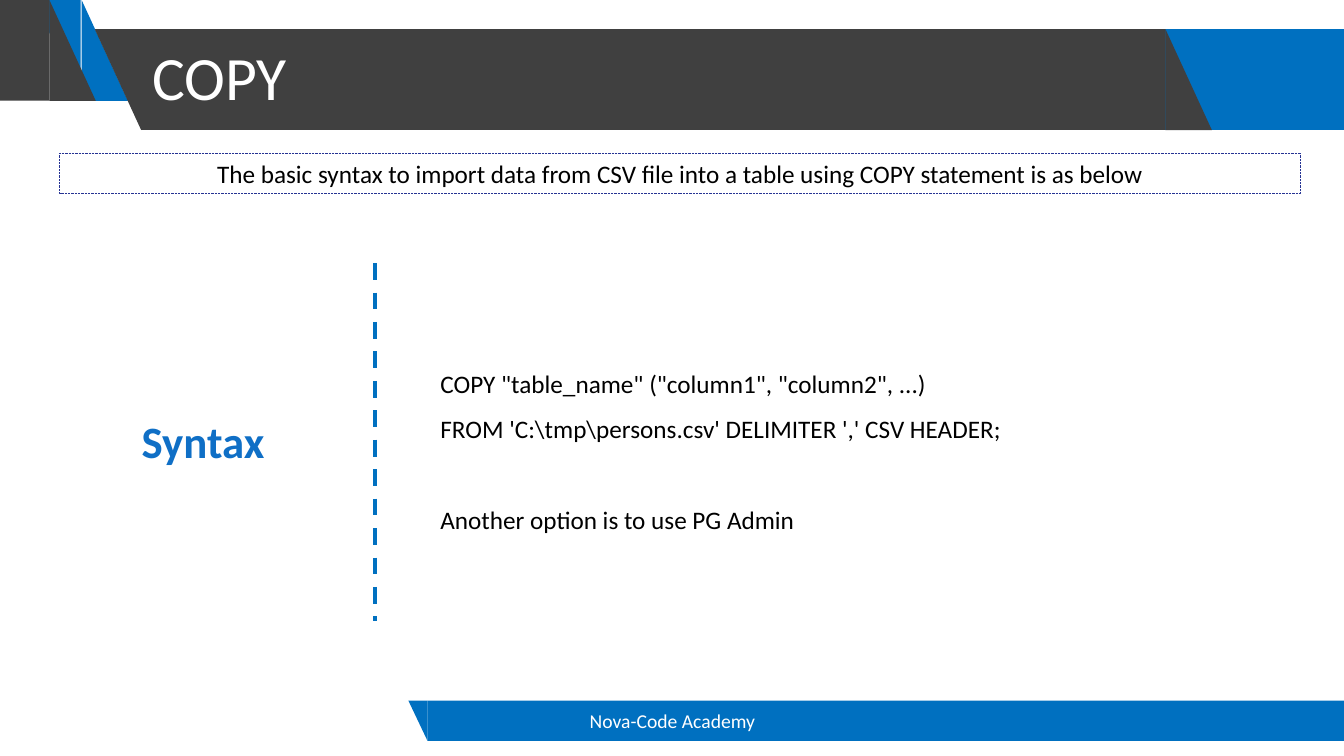
from lxml import etree
from pptx import Presentation
from pptx.dml.color import RGBColor
from pptx.enum.dml import MSO_LINE
from pptx.enum.shapes import MSO_CONNECTOR, MSO_SHAPE
from pptx.enum.text import MSO_ANCHOR, MSO_AUTO_SIZE, PP_ALIGN
from pptx.oxml.ns import qn
from pptx.util import Pt

EMU_PER_PX = 9144
RECTANGLE, TRIANGLE = MSO_SHAPE.RECTANGLE, MSO_SHAPE.RIGHT_TRIANGLE
LEFT, CENTER = PP_ALIGN.LEFT, PP_ALIGN.CENTER
TOP, MIDDLE = MSO_ANCHOR.TOP, MSO_ANCHOR.MIDDLE
DASH, DOT = MSO_LINE.DASH, MSO_LINE.ROUND_DOT
STRAIGHT, NO_AUTOFIT = MSO_CONNECTOR.STRAIGHT, MSO_AUTO_SIZE.NONE
BLUE, DARK, WHITE, BLACK = "0070C0", "404040", "FFFFFF", "000000"
ACCENT, NAVY = "0F6FC6", "263393"


def color(value):
    return RGBColor.from_string(value)


def px(*lengths):
    return [length * EMU_PER_PX for length in lengths]


class SlideBuilder:
    """Holds the font and the current page, and draws elements measured in px."""

    def __init__(self, page, font):
        self.page = page
        self.font = font

    def fill_shape(self, kind, bounds, fill, rotation=0):
        shape = self.page.shapes.add_shape(kind, *px(*bounds))
        shape.shadow.inherit = False
        shape.fill.solid()
        shape.fill.fore_color.rgb = color(fill)
        shape.line.fill.background()
        shape.rotation = rotation

    def set_text(self, box, lines, size, ink, align=LEFT, anchor=TOP, bold=False, spacing=1.0):
        frame = box.text_frame
        frame.word_wrap = True
        frame.auto_size = NO_AUTOFIT
        frame.vertical_anchor = anchor
        frame.text = "\n".join(lines)
        for para in frame.paragraphs:
            para.alignment = align
            para.line_spacing = spacing
            para.font.name = self.font
            para.font.size = Pt(size)
            para.font.bold = bold
            para.font.color.rgb = color(ink)
        return frame

    def title(self, bounds, text, size, ink):
        box = self.page.shapes.title
        box.left, box.top, box.width, box.height = px(*bounds)
        self.set_text(box, [text], size, ink, anchor=MIDDLE, spacing=0.9)
        box.element.getparent().append(box.element)

    def text(self, bounds, lines, size, ink, **style):
        box = self.page.shapes.add_textbox(*px(*bounds))
        return self.set_text(box, lines, size, ink, **style)

    def outlined_text(self, bounds, text, size, ink, outline):
        box = self.page.shapes.add_shape(RECTANGLE, *px(*bounds))
        box.shadow.inherit = False
        box.fill.background()
        self.stroke(box.line, outline, 0.5, DOT)
        self.set_text(box, [text], size, ink, align=CENTER)

    def stroke(self, line, ink, width, dash):
        line.color.rgb = color(ink)
        line.width = Pt(width)
        line.dash_style = dash

    def divider(self, ends, ink, width):
        connector = self.page.shapes.add_connector(STRAIGHT, *px(*ends))
        self.stroke(connector.line, ink, width, DASH)
        etree.SubElement(connector.element.spPr, qn("a:effectLst"))


def main():
    deck = Presentation()
    deck.slide_width, deck.slide_height = px(1333, 750)
    page = deck.slides.add_slide(deck.slide_layouts[5])
    builder = SlideBuilder(page, "Calibri")

    bands = [
        (RECTANGLE, (1068, 29, 265, 100), BLUE, 0),
        (TRIANGLE, (81, 0, 46, 100), BLUE, 0),
        (TRIANGLE, (34, 0, 46, 100), BLUE, 180),
        (RECTANGLE, (0, 0, 49, 100), DARK, 0),
        (TRIANGLE, (49, 0, 46, 100), DARK, 0),
        (TRIANGLE, (94, 29, 46, 100), DARK, 180),
        (RECTANGLE, (140, 29, 1016, 100), DARK, 0),
        (TRIANGLE, (1156, 29, 46, 100), DARK, 0),
        (RECTANGLE, (424, 695, 909, 40), BLUE, 0),
        (TRIANGLE, (405, 695, 19, 40), BLUE, 180),
    ]
    for kind, bounds, fill, rotation in bands:
        builder.fill_shape(kind, bounds, fill, rotation)

    builder.title((141, 7, 1014, 145), "COPY", 44, WHITE)
    builder.text((442, 695, 450, 40), ["Nova-Code Academy"], 14, WHITE,
                 align=CENTER, anchor=MIDDLE)
    builder.outlined_text(
        (59, 152, 1231, 40),
        "The basic syntax to import data from CSV file into a table using COPY statement is as below",
        18, BLACK, NAVY)
    builder.divider((372, 261, 372, 616), BLUE, 3)
    builder.text((31, 406, 341, 64), ["Syntax"], 32, ACCENT, align=CENTER, bold=True)
    syntax = builder.text((427, 345, 826, 187), [
        'COPY "table_name" ("column1", "column2", ...)',
        "FROM 'C:\\tmp\\persons.csv' DELIMITER ',' CSV HEADER;",
        "Another option is to use PG Admin",
    ], 18, BLACK, spacing=1.5)
    syntax.paragraphs[-1].space_before = Pt(33)

    deck.save("out.pptx")


if __name__ == "__main__":
    main()
